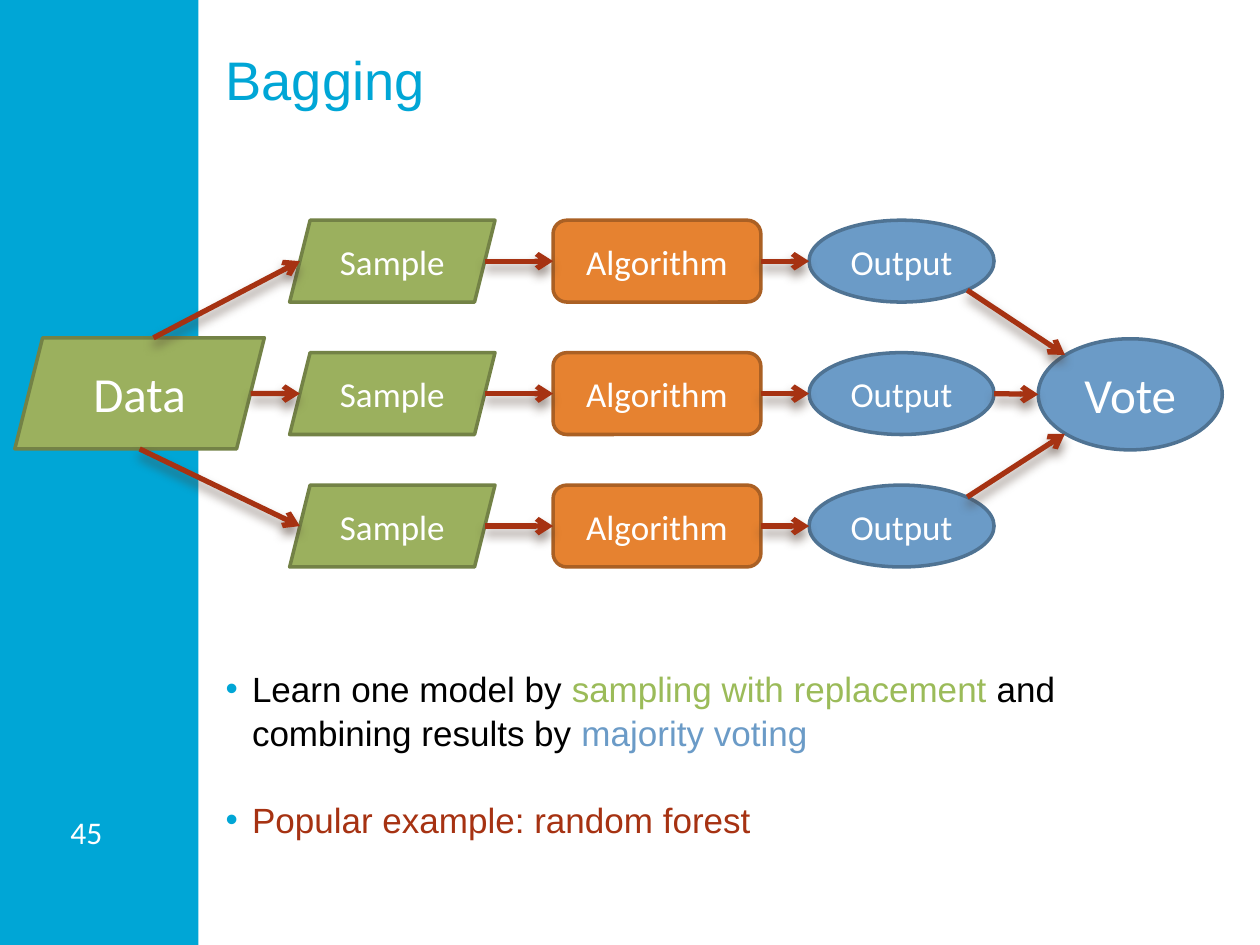
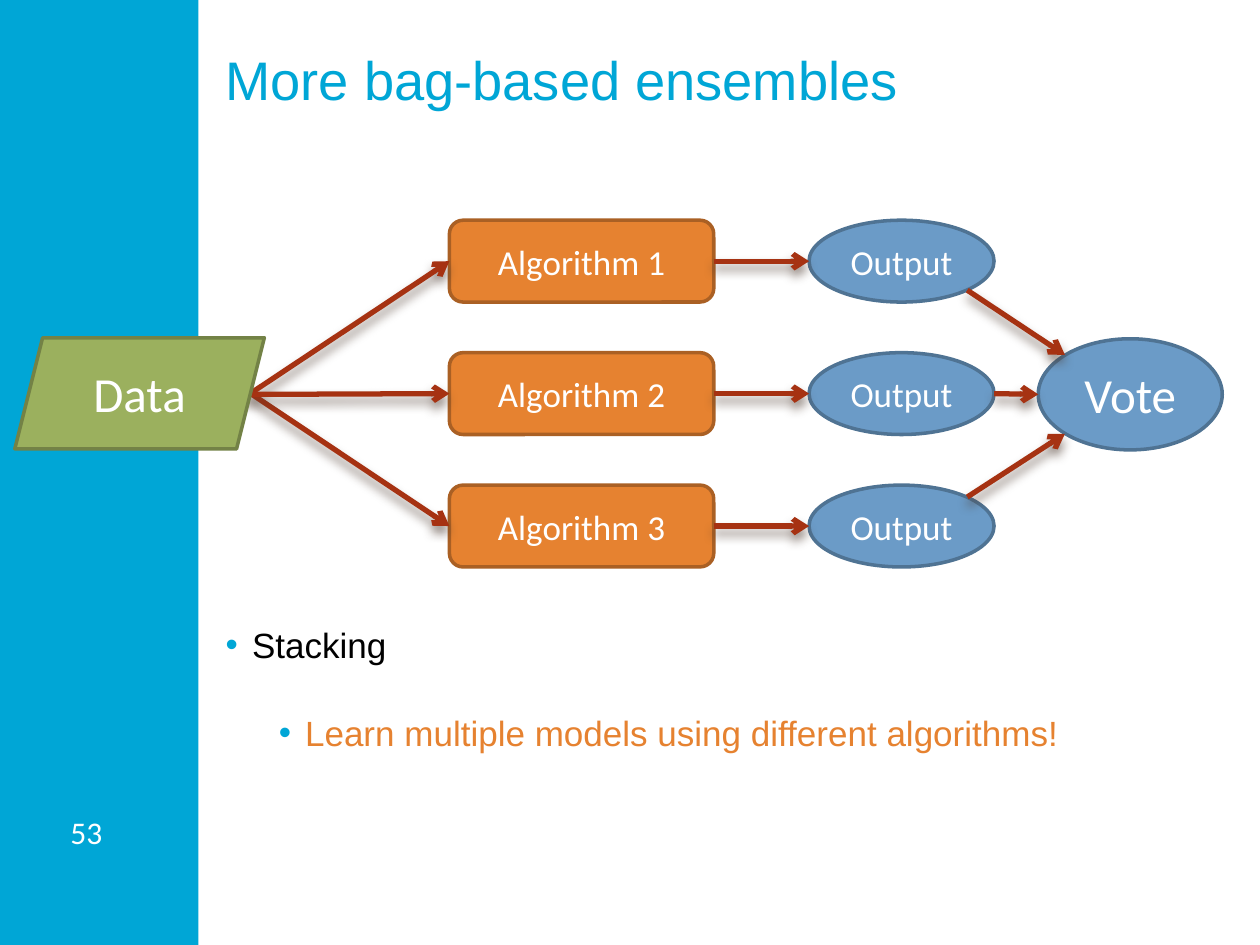
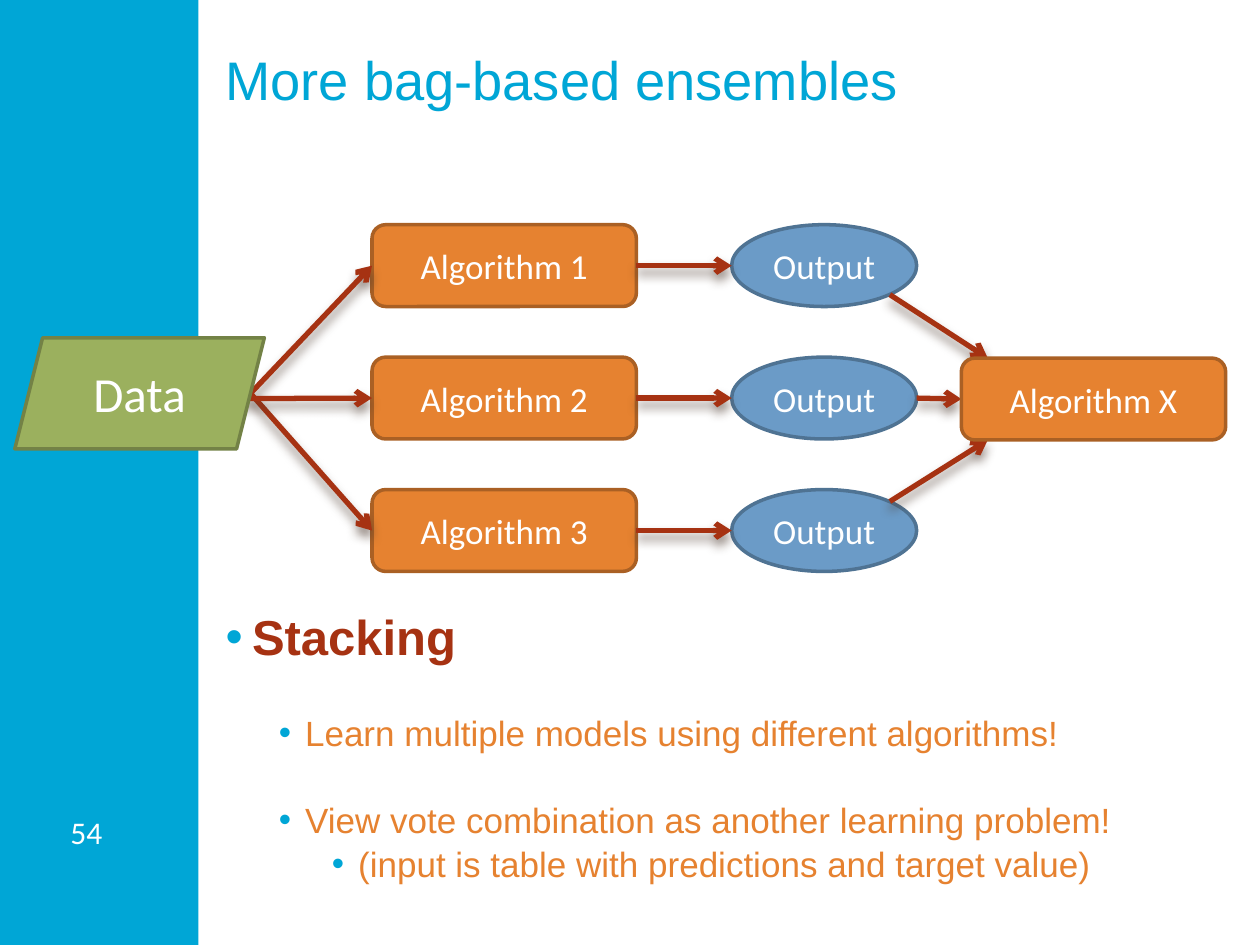
"""Build three slides on bagging and stacking ensembles."""
import collections

import lxml.etree
import pptx
import pptx.dml.color
import pptx.enum.shapes
import pptx.enum.text
import pptx.oxml.ns
import pptx.util

Cm = pptx.util.Cm
Pt = pptx.util.Pt
KIND = pptx.enum.shapes.MSO_SHAPE
ALIGN = pptx.enum.text.PP_ALIGN
ANCHOR = pptx.enum.text.MSO_ANCHOR
Box = collections.namedtuple("Box", "look x y w h")

HEX = {
    "cyan": "00A6D6", "white": "FFFFFF", "black": "000000", "red": "A63212",
    "lime": "9BBB59", "green": "9BB05E", "moss": "738246", "orange": "E68230",
    "rust": "AA6024", "blue": "6B9BC7", "navy": "4F7393", "shade": "4E3B30",
}
LOOKS = {
    "data": (KIND.PARALLELOGRAM, "green", "moss"),
    "model": (KIND.ROUNDED_RECTANGLE, "orange", "rust"),
    "result": (KIND.OVAL, "blue", "navy"),
}
ROW, PITCH, HIGH = 4.44, 2.67, 1.65
DIAG = 0.71
DATA = Box("data", 0.3, 6.81, 5.03, 2.24)
VOTE = Box("result", 20.93, 6.83, 3.71, 2.24)
FINAL = Box("model", 19.38, 7.22, 5.33, HIGH)


def tint(name):
    """Return the named colour."""
    return pptx.dml.color.RGBColor.from_string(HEX[name])


def adjust(thing, **values):
    """Set each value as an attribute of the thing."""
    for key, value in values.items():
        setattr(thing, key, value)


def node(parent, tag, **values):
    """Append a drawing element to the parent."""
    return lxml.etree.SubElement(parent, pptx.oxml.ns.qn("a:" + tag), values)


def port(box, u, v):
    """Return the point at u, v from the centre, each from -1 to 1."""
    slant = box.h / 8 if box.look == "data" else 0
    return box.x + box.w / 2 + u * (box.w / 2 - slant), box.y + box.h / 2 * (1 + v)


def stack(look, x, wide, top=ROW):
    """Return the three boxes of one column."""
    return [Box(look, x, top + PITCH * row, wide, HIGH) for row in range(3)]


class Deck:
    """Hold the shared style and the current slide."""

    def __init__(self):
        """Start an empty deck."""
        self.show = pptx.Presentation()
        adjust(self.show, slide_width=Cm(25.4), slide_height=Cm(19.05))

    def page(self, title, number):
        """Start a slide with its band, number and title."""
        self.slide = self.show.slides.add_slide(self.show.slide_layouts[1])
        self.paint(KIND.RECTANGLE, (0, 0, 4, 19.05), "cyan")
        note = self.slide.shapes.add_textbox(Cm(1.24), Cm(16.28), Cm(1.37), Cm(1.02))
        self.frame(note, 0.18, 0.1)
        self.label(note.text_frame.paragraphs[0], str(number), 18, "white", "Calibri")
        head = self.slide.shapes.title
        self.place(head, 0.94, 2.95)
        line = head.text_frame.paragraphs[0]
        line.alignment = ALIGN.LEFT
        self.label(line, title, 31, "cyan")

    def frame(self, shape, side, edge):
        """Set the margins and the top anchor of a text frame."""
        adjust(shape.text_frame, margin_left=Cm(side), margin_right=Cm(side),
               margin_top=Cm(edge), margin_bottom=Cm(edge), word_wrap=True,
               vertical_anchor=ANCHOR.TOP, auto_size=pptx.enum.text.MSO_AUTO_SIZE.NONE)

    def place(self, shape, top, high):
        """Move a placeholder into the text column."""
        adjust(shape, left=Cm(4.55), top=Cm(top), width=Cm(19.56), height=Cm(high))
        self.frame(shape, 0, 0)

    def label(self, line, text, size, color, face="Arial", bold=False):
        """Add a run to a paragraph."""
        run = line.add_run()
        run.text = text
        adjust(run.font, size=Pt(size), name=face, bold=bold)
        run.font.color.rgb = tint(color)

    def bullets(self, top, items):
        """Fill the body with bullets given as level, gap, size, bold and runs."""
        body = self.slide.placeholders[1]
        self.place(body, top, 17.96 - top)
        for spot, (level, gap, size, bold, runs) in enumerate(items):
            line = body.text_frame.paragraphs[0] if spot == 0 else body.text_frame.add_paragraph()
            adjust(line, level=level, line_spacing=Pt(25), space_before=Pt(gap), space_after=Pt(0))
            props = line._p.get_or_add_pPr()
            props.set("marL", str(Cm(0.53 + 1.07 * level)))
            props.set("indent", str(-Cm(0.53)))
            node(node(props, "buClr"), "srgbClr", val=HEX["cyan"])
            node(props, "buFont", typeface="Arial")
            node(props, "buChar", char="•")
            for text, color in runs:
                self.label(line, text, size, color, bold=bold)

    def paint(self, kind, area, fill, edge=None):
        """Add a filled shape, with an outline if an edge colour is given."""
        shape = self.slide.shapes.add_shape(kind, *map(Cm, area))
        shape.shadow.inherit = False
        shape.fill.solid()
        shape.fill.fore_color.rgb = tint(fill)
        if edge:
            shape.line.width = Pt(2)
            shape.line.color.rgb = tint(edge)
        else:
            shape.line.fill.background()
        return shape

    def block(self, box, text, size=20):
        """Draw a labelled box."""
        kind, fill, edge = LOOKS[box.look]
        shape = self.paint(kind, box[1:], fill, edge)
        shape.text_frame.vertical_anchor = ANCHOR.MIDDLE
        line = shape.text_frame.paragraphs[0]
        line.alignment = ALIGN.CENTER
        self.label(line, text, size, "white", "Calibri")

    def arrow(self, start, end):
        """Draw a red arrow with a soft shadow."""
        link = self.slide.shapes.add_connector(
            pptx.enum.shapes.MSO_CONNECTOR.STRAIGHT, *map(Cm, start + end))
        link.line.width = Pt(3)
        link.line.color.rgb = tint("red")
        props = link._element.spPr
        node(link.line._get_or_add_ln(), "tailEnd", type="arrow")
        glow = node(node(props, "effectLst"), "outerShdw", blurRad=str(Pt(6)),
                    dist=str(Pt(4)), dir="5400000", rotWithShape="0")
        node(node(glow, "srgbClr", val=HEX["shade"]), "alpha", val="60000")

    def join(self, left, right):
        """Link each box of one column to its neighbour in the next."""
        for near, far in zip(left, right):
            self.arrow(port(near, 1, 0), port(far, -1, 0))

    def column(self, boxes, *names):
        """Draw the boxes of a column with their names."""
        for box, name in zip(boxes, names):
            self.block(box, name)

    def merge(self, results, goal, u, v):
        """Link the three results to the goal."""
        self.arrow(port(results[0], DIAG, DIAG), port(goal, u, -v))
        self.arrow(port(results[2], DIAG, -DIAG), port(goal, u, v))
        self.arrow(port(results[1], 1, 0), port(goal, -1, 0))

    def split(self, models, results):
        """Draw the data, three different models and their results."""
        self.column(models, *(f"Algorithm {count}" for count in (1, 2, 3)))
        self.column(results, *["Output"] * 3)
        for model in models[::2]:
            self.arrow(port(DATA, 1, 0), port(model, -1, 0))
        x, y = port(models[1], -1, 0)
        self.arrow((x - 5.18, y + 0.02), (x, y))
        self.join(models, results)
        self.block(DATA, "Data", 28)


def main():
    """Build and save the deck."""
    deck = Deck()
    learn = (1, 25, 20, False, [("Learn multiple models using different algorithms!", "orange")])

    deck.page("Bagging", 45)
    deck.bullets(13.42, [
        (0, 0, 20, False, [("Learn one model by ", "black"),
                           ("sampling with replacement ", "lime"),
                           ("and combining results by ", "black"),
                           ("majority voting", "blue")]),
        (0, 25, 20, False, [("Popular example: random forest", "red")]),
    ])
    samples = stack("data", 5.84, 4.14)
    models = stack("model", 11.15, 4.19)
    results = stack("result", 16.31, 3.73)
    for boxes, name in ((samples, "Sample"), (models, "Algorithm"), (results, "Output")):
        deck.column(boxes, *[name] * 3)
    deck.join(samples, models)
    deck.join(models, results)
    deck.block(DATA, "Data", 28)
    for (u, v), sample in zip(((0.125, -1), (1, 0), (0, 1)), samples):
        deck.arrow(port(DATA, u, v), port(sample, -1, 0))
    deck.block(VOTE, "Vote", 28)
    deck.merge(results, VOTE, -DIAG, DIAG)

    deck.page("More bag-based ensembles", 53)
    deck.bullets(12.54, [(0, 0, 20, False, [("Stacking", "black")]), learn])
    deck.split(stack("model", 9.06, 5.33), results)
    deck.block(VOTE, "Vote", 28)
    deck.merge(results, VOTE, -DIAG, DIAG)

    deck.page("More bag-based ensembles", 54)
    deck.bullets(12.54, [
        (0, 0, 28, True, [("Stacking", "red")]),
        learn,
        (1, 25, 20, False, [("View vote combination as another learning problem!", "orange")]),
        (2, 0, 20, False, [("(input is table with predictions and target value)", "orange")]),
    ])
    results = stack("result", 14.75, 3.73, ROW + 0.09)
    deck.split(stack("model", 7.5, 5.33, ROW + 0.09), results)
    deck.merge(results, FINAL, -0.8, 1)
    deck.block(FINAL, "Algorithm X")

    deck.show.save("out.pptx")


if __name__ == "__main__":
    main()
